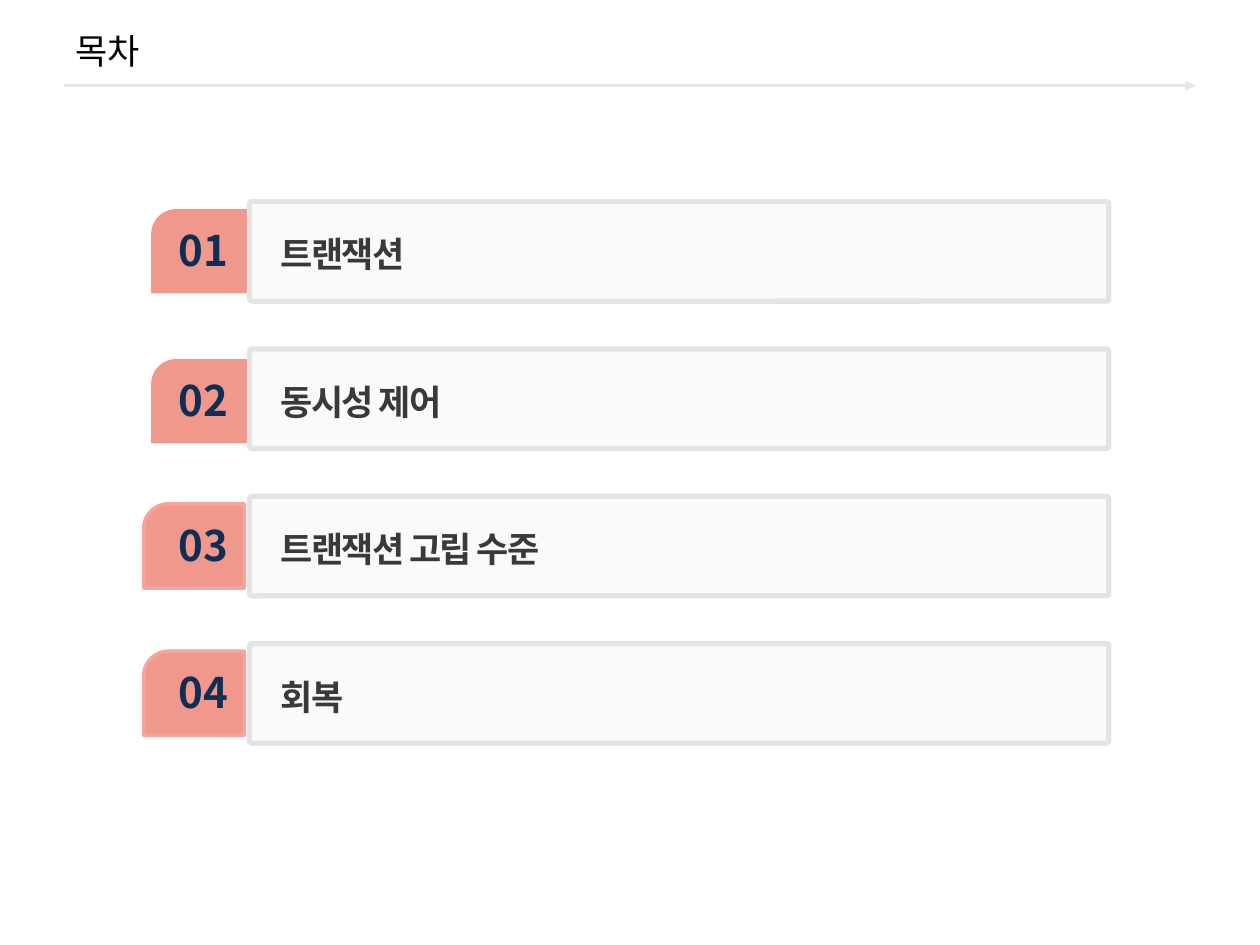
import pptx
import pptx.util
import pptx.dml.color
import pptx.enum.shapes
import pptx.enum.text
import pptx.oxml
import pptx.oxml.ns
from lxml import etree

Pt = pptx.util.Pt
Shape = pptx.enum.shapes.MSO_SHAPE
Text = pptx.enum.text
qn = pptx.oxml.ns.qn

FACE = "Noto Sans CJK KR"
TITLE = "목차"
# label, tab left, tab drop below the bar's top, tab outline
ITEMS = [
    ("트랜잭션", 86.4, 4.3, None),
    ("동시성 제어", 86.4, 5.8, None),
    ("트랜잭션 고립 수준", 82.1, 4.3, "F2A69C"),
    ("회복", 82.1, 4.3, "F2A69C"),
]
TOP, PITCH = 115.2, 84.2
BAR_LEFT, BAR_WIDE, BAR_HIGH = 142.6, 491, 56.9


def tint(color, code):
    color.rgb = pptx.dml.color.RGBColor.from_string(code)


def write(frame, text, size, code, bold=False):
    """Fill the frame with one styled paragraph and return it."""
    para = frame.paragraphs[0]
    para.text = text
    font = para.font
    font.size, font.bold, font.name = Pt(size), bold, FACE
    tint(font.color, code)
    props = para._p.pPr.find(qn("a:defRPr"))
    etree.SubElement(props, qn("a:ea")).set("typeface", FACE)
    return para


def block(group, kind, box, adjust, fill, line, width):
    shape = group.shapes.add_shape(kind, *map(Pt, box))
    shape.shadow.inherit = False
    for i, value in enumerate(adjust):
        shape.adjustments[i] = value
    shape.fill.solid()
    tint(shape.fill.fore_color, fill)
    if line:
        tint(shape.line.color, line)
        shape.line.width = Pt(width)
    else:
        shape.line.fill.background()
    return shape


def label(group, box, wrap):
    frame = group.shapes.add_textbox(*map(Pt, box)).text_frame
    frame.word_wrap = wrap
    frame.auto_size = Text.MSO_AUTO_SIZE.SHAPE_TO_FIT_TEXT
    return frame


def row(slide, index, item):
    name, left, drop, line = item
    top = TOP + index * PITCH
    group = slide.shapes.add_group_shape()

    block(group, Shape.SNIP_ROUND_RECTANGLE, (left, top + drop, 57.6, 48.2),
          (0.296, 0), "F0988C", line, 2)
    frame = label(group, (95, top + drop + 5.4, 42.5, 36), False)
    para = write(frame, f"{index + 1:02}", 24, "0F2E53", True)
    para.alignment = Text.PP_ALIGN.CENTER

    bar = block(group, Shape.ROUNDED_RECTANGLE,
                (BAR_LEFT, top, BAR_WIDE, BAR_HIGH),
                (0.023,), "F2F2F2", "E4E4E4", 3)
    shade = bar.fill._xPr.find(qn("a:solidFill"))[0]
    etree.SubElement(shade, qn("a:alpha")).set("val", "33000")

    frame = label(group, (153.4, top + 12, 380, 31.7), True)
    para = write(frame, name, 20, "393939", True)
    para.line_spacing = 1.1
    para.space_before, para.space_after = Pt(18), Pt(3)
    para._p.pPr.find(qn("a:defRPr")).set("spc", "-100")


def head(slide):
    title = slide.shapes.title
    title.left, title.top, title.width, title.height = map(
        Pt, (36, 5.8, 648, 46))
    frame = title.text_frame
    frame.auto_size = Text.MSO_AUTO_SIZE.NONE
    frame.vertical_anchor = Text.MSO_ANCHOR.MIDDLE
    write(frame, TITLE, 20, "000000").alignment = Text.PP_ALIGN.LEFT

    rule = slide.shapes.add_connector(
        pptx.enum.shapes.MSO_CONNECTOR.STRAIGHT,
        *map(Pt, (36.7, 49, 683.3, 49)))
    tint(rule.line.color, "E6E6E6")
    rule.line.width = Pt(1.5)
    etree.SubElement(rule.line._ln, qn("a:tailEnd")).set("type", "triangle")
    etree.SubElement(rule._element.spPr, qn("a:effectLst"))


def main():
    deck = pptx.Presentation()
    deck.slide_width, deck.slide_height = Pt(720), Pt(540)
    slide = deck.slides.add_slide(deck.slide_layouts[5])
    head(slide)
    for index, item in enumerate(ITEMS):
        row(slide, index, item)
    deck.save("out.pptx")


if __name__ == "__main__":
    main()
